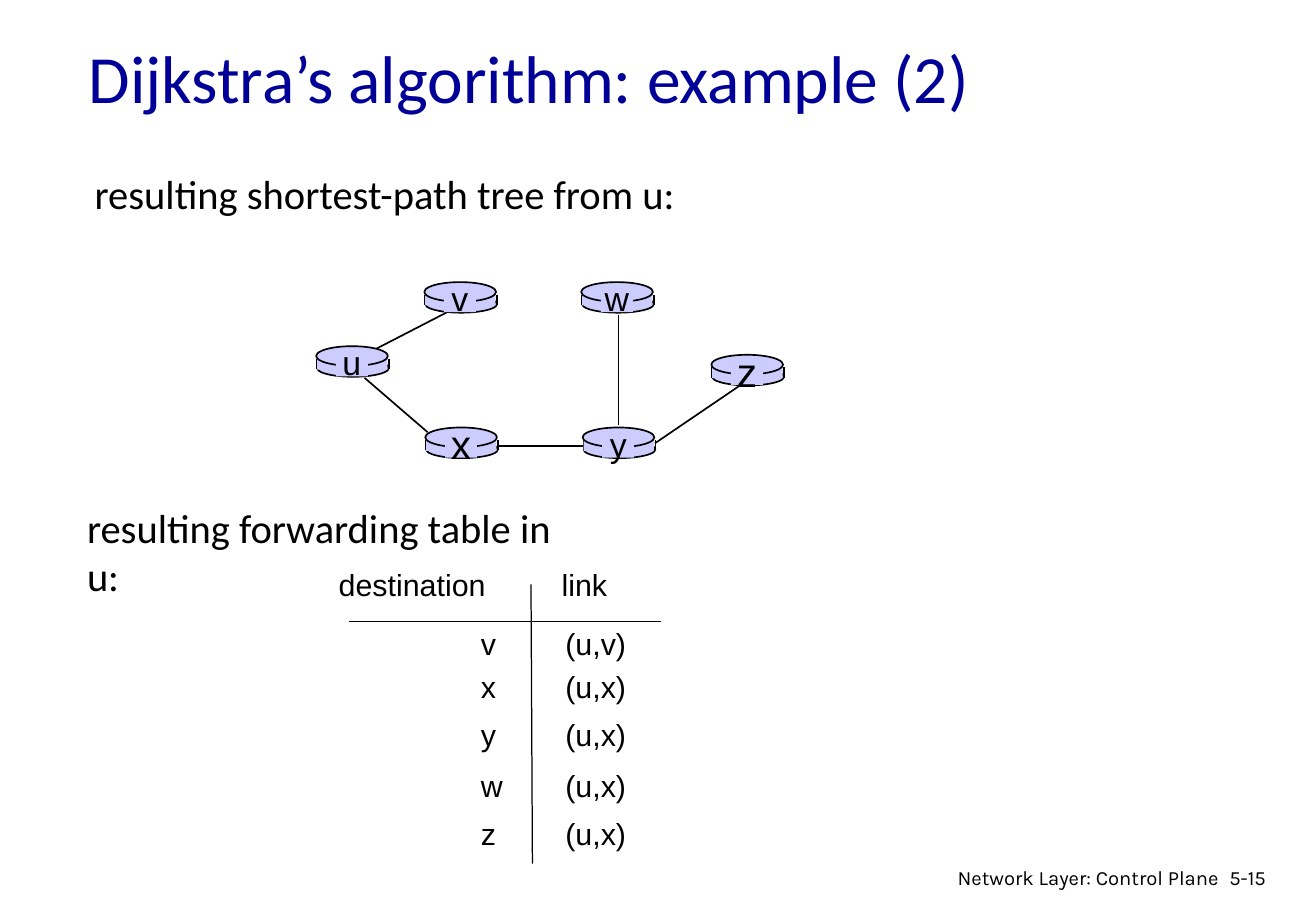
from dataclasses import dataclass

from lxml.etree import SubElement
from pptx import Presentation
from pptx.dml.color import RGBColor
from pptx.enum.shapes import MSO_CONNECTOR as Connector, MSO_SHAPE as Preset
from pptx.enum.text import MSO_ANCHOR as Anchor, PP_ALIGN as Align
from pptx.oxml.ns import qn
from pptx.util import Cm, Pt


@dataclass(frozen=True)
class Theme:
    ink: RGBColor = RGBColor(0x00, 0x00, 0x00)
    heading: RGBColor = RGBColor(0x00, 0x00, 0x99)
    router: RGBColor = RGBColor(0xCC, 0xCC, 0xFF)
    title: tuple = ("Calibri", 40)
    caption: tuple = ("Calibri", 24)
    node: tuple = ("Arial", 20)
    node_large: tuple = ("Arial", 24)
    table: tuple = ("Arial", 18)
    footer: tuple = ("Karla", 12)
    edge: float = 1
    rule: float = 0.75


THEME = Theme()

# Routers: left, top in cm, label type
ROUTERS = {
    "u": (6.61, 7.24, THEME.node),
    "x": (8.89, 8.94, THEME.node_large),
    "v": (8.87, 5.9, THEME.node),
    "w": (12.15, 5.9, THEME.node),
    "y": (12.18, 8.94, THEME.node),
    "z": (14.87, 7.42, THEME.node_large),
}

# Tree links: start x, y and end x, y in cm
LINKS = [
    (7.87, 7.29, 9.5, 6.45),
    (12.93, 6.58, 12.93, 8.89),
    (13.69, 9.27, 15.44, 8.08),
    (12.19, 9.32, 10.44, 9.32),
    (8.94, 9.04, 7.62, 7.9),
]

FORWARDING = [
    ("destination", "link"),
    ("v", "(u,v)"),
    ("x", "(u,x)"),
    ("y", "(u,x)"),
    ("w", "(u,x)"),
    ("z", "(u,x)"),
]
ROW_HEIGHTS = [1.5, 0.94, 0.86, 1.17, 0.94, 1.07]
COLUMN_WIDTHS = [4.27, 2.72]
HEADER_INDENTS = [0.25, 0.64]
BODY_INDENTS = [3.22, 0.72]


def apply(target, values):
    for name, value in values.items():
        setattr(target, name, value)


def write(frame, text, kind, color=THEME.ink, align=Align.LEFT):
    """Put one formatted paragraph in a text frame."""
    paragraph = frame.paragraphs[0]
    paragraph.alignment = align
    run = paragraph.add_run()
    run.text = text
    family, size = kind
    apply(run.font, {"name": family, "size": Pt(size), "bold": False})
    run.font.color.rgb = color


def add_text(slide, box, text, kind, align=Align.LEFT):
    frame = slide.shapes.add_textbox(*map(Cm, box)).text_frame
    frame.word_wrap = True
    write(frame, text, kind, align=align)


def add_line(slide, ends, weight):
    line = slide.shapes.add_connector(Connector.STRAIGHT, *map(Cm, ends))
    line.line.color.rgb = THEME.ink
    line.line.width = Pt(weight)
    SubElement(line._element.spPr, qn("a:effectLst"))


def add_solid(slide, preset, box, outlined):
    solid = slide.shapes.add_shape(preset, *map(Cm, box))
    solid.shadow.inherit = False
    solid.fill.solid()
    solid.fill.fore_color.rgb = THEME.router
    if outlined:
        solid.line.color.rgb = THEME.ink
        solid.line.width = Pt(THEME.edge)
    else:
        solid.line.fill.background()
    return solid


def add_router(slide, name, left, top, kind):
    # Drum: base, sides, body, lid
    add_solid(slide, Preset.OVAL, (left + 0.02, top + 0.28, 1.5, 0.36), True)
    for side in (left + 0.02, left + 1.52):
        add_line(slide, (side, top + 0.26, side, top + 0.48), THEME.edge)
    add_solid(slide, Preset.RECTANGLE, (left + 0.02, top + 0.26, 1.47, 0.23), False)
    add_solid(slide, Preset.OVAL, (left, top, 1.5, 0.41), True)
    # Label over the drum
    label = add_solid(slide, Preset.RECTANGLE, (left + 0.41, top + 0.05, 0.67, 0.58), False)
    apply(label.text_frame, {
        "margin_left": 0, "margin_right": 0, "margin_top": 0, "margin_bottom": 0,
        "vertical_anchor": Anchor.MIDDLE, "word_wrap": False,
    })
    write(label.text_frame, name, kind, align=Align.CENTER)


def add_forwarding_table(slide, left, top):
    box = map(Cm, (left, top, sum(COLUMN_WIDTHS), sum(ROW_HEIGHTS)))
    forwarding = slide.shapes.add_table(len(FORWARDING), len(COLUMN_WIDTHS), *box).table
    apply(forwarding, {"first_row": False, "horz_banding": False})
    for column, width in zip(forwarding.columns, COLUMN_WIDTHS):
        column.width = Cm(width)
    for index, (row, entries) in enumerate(zip(forwarding.rows, FORWARDING)):
        row.height = Cm(ROW_HEIGHTS[index])
        indents = BODY_INDENTS if index else HEADER_INDENTS
        for cell, entry, indent in zip(row.cells, entries, indents):
            cell.fill.background()
            apply(cell, {
                "margin_left": Cm(indent), "margin_right": 0, "margin_top": 0,
                "margin_bottom": 0, "vertical_anchor": Anchor.MIDDLE,
            })
            write(cell.text_frame, entry, THEME.table)
    # Column and header rules
    add_line(slide, (11.1, 12.22, 11.13, 18.06), THEME.rule)
    add_line(slide, (7.29, 13, 13.82, 13), THEME.rule)


def add_title(slide, text):
    title = slide.shapes.title
    apply(title, {"left": Cm(1.6), "top": Cm(0.43), "width": Cm(23.39), "height": Cm(2.36)})
    title.text_frame.vertical_anchor = Anchor.MIDDLE
    write(title.text_frame, text, THEME.title, THEME.heading)


def main():
    deck = Presentation()
    apply(deck, {"slide_width": Cm(27.51), "slide_height": Cm(19.05)})
    slide = deck.slides.add_slide(deck.slide_layouts[5])
    add_title(slide, "Dijkstra’s algorithm: example (2)")

    # Shortest-path tree
    add_text(slide, (1.73, 3.4, 13.2, 1.27), "resulting shortest-path tree from u:", THEME.caption)
    for ends in LINKS:
        add_line(slide, ends, THEME.edge)
    for name, (left, top, kind) in ROUTERS.items():
        add_router(slide, name, left, top, kind)

    # Forwarding table
    add_forwarding_table(slide, 6.83, 11.51)
    add_text(slide, (1.57, 10.39, 10.9, 1.27), "resulting forwarding table in u:", THEME.caption)

    # Footer
    add_text(slide, (25.45, 17.98, 1.65, 0.76), "5-15", THEME.footer)
    add_text(slide, (19.18, 17.98, 6.55, 0.66), "Network Layer: Control Plane", THEME.footer, Align.RIGHT)
    deck.save("out.pptx")


if __name__ == "__main__":
    main()
